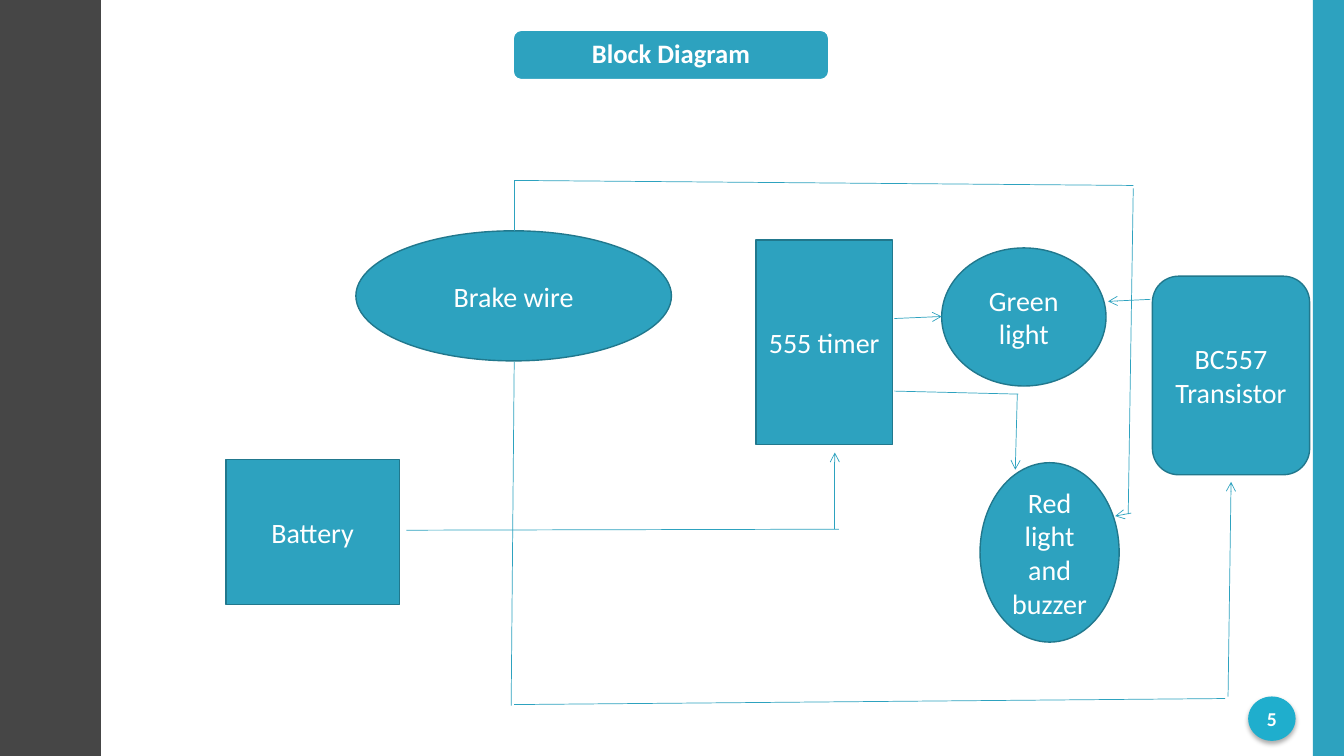
from lxml.etree import SubElement
from pptx import Presentation
from pptx.dml.color import RGBColor
from pptx.enum.shapes import MSO_CONNECTOR, MSO_SHAPE
from pptx.enum.text import MSO_ANCHOR, PP_ALIGN
from pptx.oxml.ns import qn
from pptx.util import Inches, Pt

COLORS = {
    "teal": "2DA2BF",
    "outline": "21788D",
    "badge": "1FAECD",
    "wave": "464646",
    "white": "FFFFFF",
    "shadow": "000000",
}


def paint(shape, fill, line=None):
    """Set a flat fill and an optional 1 pt outline, without a shadow."""
    shape.shadow.inherit = False
    shape.fill.solid()
    shape.fill.fore_color.rgb = RGBColor.from_string(COLORS[fill])
    if line:
        shape.line.color.rgb = RGBColor.from_string(COLORS[line])
        shape.line.width = Pt(1)
    else:
        shape.line.fill.background()


def add_block(preset, bounds, text, size=20, bold=False, fill="teal", line="outline"):
    """Add a filled shape with centred white text and return it."""
    block = slide.shapes.add_shape(preset, *map(Inches, bounds))
    paint(block, fill, line)
    frame = block.text_frame
    frame.word_wrap = True
    frame.vertical_anchor = MSO_ANCHOR.MIDDLE
    para = frame.paragraphs[0]
    para.text = text
    para.alignment = PP_ALIGN.CENTER
    para.font.name = "Calibri"
    para.font.size = Pt(size)
    para.font.bold = bold
    para.font.color.rgb = RGBColor.from_string(COLORS["white"])
    return block


deck = Presentation()
deck.slide_width = Inches(13.33)
deck.slide_height = Inches(7.5)
slide = deck.slides.add_slide(deck.slide_layouts[6])

# Wavy left edge: a quarter wave, turned and mirrored into a full wave, five times
quarter = [(0.78, 0), (0.78, 0.07), (0.79, 0.14), (0.8, 0.2),
           (0.81, 0.25), (0.83, 0.29), (0.85, 0.33), (0.87, 0.38)]
half = quarter + [(1.75 - x, 0.75 - y) for x, y in reversed(quarter[:-1])]
wave = half + [(x, 1.5 - y) for x, y in reversed(half[:-1])]
edge = [(x, y + 1.5 * turn) for turn in range(5) for x, y in wave]
builder = slide.shapes.build_freeform(0, 0, scale=Inches(1))
builder.add_line_segments(edge + [(0, 7.5)], close=True)
paint(builder.convert_to_shape(), "wave")

right_band = slide.shapes.add_shape(
    MSO_SHAPE.RECTANGLE, Inches(13.02), 0, Inches(0.31), deck.slide_height)
paint(right_band, "teal")

title = add_block(MSO_SHAPE.ROUNDED_RECTANGLE, (5.09, 0.3, 3.13, 0.49),
                  "Block Diagram", size=19, bold=True, line="white")
title.text_frame.paragraphs[0].line_spacing = 0.9

badge = add_block(MSO_SHAPE.OVAL, (12.38, 6.91, 0.47, 0.44), "5",
                  size=14, bold=True, fill="badge", line=None)
effects = badge.element.spPr.find(qn("a:effectLst"))
shadow = SubElement(effects, qn("a:outerShdw"), blurRad=str(Pt(3.5)),
                    dist=str(Pt(2.2)), dir="5400000", rotWithShape="0")
shadow_color = SubElement(shadow, qn("a:srgbClr"), val=COLORS["shadow"])
SubElement(shadow_color, qn("a:alpha"), val="32000")

blocks = [
    (MSO_SHAPE.OVAL, (3.53, 2.29, 3.13, 1.29), "Brake wire"),
    (MSO_SHAPE.RECTANGLE, (2.24, 4.56, 1.72, 1.44), "Battery"),
    (MSO_SHAPE.RECTANGLE, (7.5, 2.38, 1.35, 2.03), "555 timer"),
    (MSO_SHAPE.FLOWCHART_CONNECTOR, (9.34, 2.46, 1.63, 1.37), "Green light"),
    (MSO_SHAPE.FLOWCHART_CONNECTOR, (9.72, 4.59, 1.38, 1.78), "Red light and buzzer"),
    (MSO_SHAPE.ROUNDED_RECTANGLE, (11.43, 2.74, 1.56, 1.97), "BC557 Transistor"),
]
for preset, bounds, text in blocks:
    add_block(preset, bounds, text)

# Each wire is a chain of segments; the last one carries the arrowhead
wires = [
    # Brake wire to transistor
    [(5.1, 3.59, 5.07, 7), (5.1, 6.99, 12.15, 6.93), (12.18, 6.91, 12.21, 4.78)],
    # Battery to timer
    [(4.03, 5.26, 8.32, 5.25), (8.28, 5.25, 8.28, 4.49)],
    # Brake wire to red light
    [(5.1, 2.29, 5.1, 1.79), (5.1, 1.79, 11.24, 1.84),
     (11.24, 1.87, 11.19, 5.1), (11.22, 5.09, 11.06, 5.12)],
    # Timer to green light
    [(8.87, 3.16, 9.34, 3.14)],
    # Transistor to green light
    [(11.41, 2.97, 10.99, 2.99)],
    # Timer to red light
    [(8.87, 3.88, 10.1, 3.91), (10.09, 3.91, 10.07, 4.66)],
]
for wire in wires:
    for ends in wire:
        segment = slide.shapes.add_connector(MSO_CONNECTOR.STRAIGHT, *map(Inches, ends))
        segment.line.color.rgb = RGBColor.from_string(COLORS["teal"])
        segment.line.width = Pt(0.5)
        SubElement(segment.element.spPr, qn("a:effectLst"))
    SubElement(segment.line._get_or_add_ln(), qn("a:tailEnd"), type="arrow")

deck.save("out.pptx")
